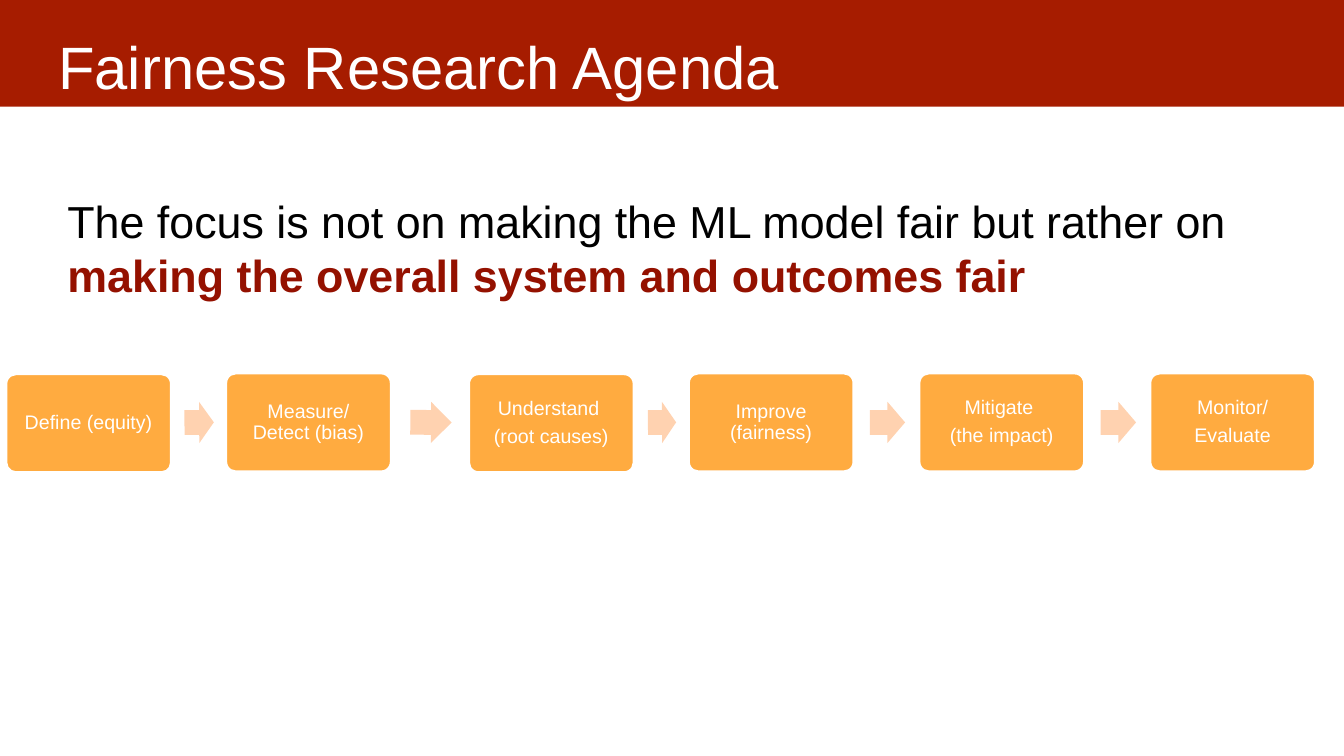
from lxml import etree
from pptx import Presentation
from pptx.dml.color import RGBColor
from pptx.enum.shapes import MSO_SHAPE
from pptx.enum.text import MSO_ANCHOR, PP_ALIGN
from pptx.oxml.ns import qn
from pptx.util import Cm, Pt

RECTANGLE = MSO_SHAPE.RECTANGLE
ROUNDED = MSO_SHAPE.ROUNDED_RECTANGLE
ARROW = MSO_SHAPE.RIGHT_ARROW
TOP, MIDDLE = MSO_ANCHOR.TOP, MSO_ANCHOR.MIDDLE
CENTER = PP_ALIGN.CENTER

COLORS = {
    "banner": "A61C00",
    "white": "FFFFFF",
    "black": "000000",
    "emphasis": "941100",
    "step": "FFAB40",
    "arrow": "FFD2B0",
}
FONT = "Arial"
STEP_SIZE = 14
STEP_WIDTH, STEP_HEIGHT = 4.17, 2.49
ARROW_HEIGHT = 1.04
STEPS = [
    (0, 0.02, "Define (equity)"),
    (5.54, 0, "Measure/\vDetect (bias)"),
    (11.66, 0.02, "Understand \n(root causes)"),
    (17.2, 0, "Improve (fairness)"),
    (23.01, 0, "Mitigate \n(the impact)"),
    (28.83, 0, "Monitor/\nEvaluate"),
]
ARROWS = [(4.5, 0.74, -0.4), (10.19, 1.04, 0.3), (16.18, 0.71, -0.4), (21.77, 0.89, 0), (27.59, 0.89, 0)]


def apply_format(target, values):
    for name, value in values.items():
        setattr(target, name, value)


def color(name):
    return RGBColor.from_string(COLORS[name])


def format_run(run, size, color_name, bold=False):
    apply_format(run.font, {"name": FONT, "size": Pt(size), "bold": bold})
    run.font.color.rgb = color(color_name)


def add_filled(slide, kind, box, fill):
    shape = slide.shapes.add_shape(kind, *map(Cm, box))
    shape.shadow.inherit = False
    shape.fill.solid()
    shape.fill.fore_color.rgb = color(fill)
    shape.line.fill.background()
    return shape


def add_text(slide, box, frame_format, size, parts):
    frame = slide.shapes.add_textbox(*map(Cm, box)).text_frame
    apply_format(frame, {"word_wrap": True, "vertical_anchor": TOP, **frame_format})
    for text, color_name, bold in parts:
        run = frame.paragraphs[0].add_run()
        run.text = text
        format_run(run, size, color_name, bold)


def add_banner(slide, left, top, width, height):
    add_filled(slide, RECTANGLE, (left, top, width, height), "banner")
    insets = {"margin_left": Cm(0.33), "margin_right": Cm(0.33), "margin_top": Cm(0.51), "margin_bottom": Cm(0.1)}
    title_box = (left + 1.19, top + 0.33, width - 2.39, height - 0.68)
    add_text(slide, title_box, insets, 42.7, [("Fairness Research Agenda", "white", False)])


def add_statement(slide, left, top, width, height):
    parts = [
        ("The focus is not on making the ML model fair but rather on ", "black", False),
        ("making the overall system and outcomes fair", "emphasis", True),
    ]
    add_text(slide, (left, top, width, height), {}, 32, parts)


def add_step(slide, left, top, text):
    shape = add_filled(slide, ROUNDED, (left, top, STEP_WIDTH, STEP_HEIGHT), "step")
    shape.adjustments[0] = 0.1
    shape.line.color.rgb = color("white")
    shape.line.width = Pt(2)
    frame = shape.text_frame
    frame.text = text
    margins = {f"margin_{side}": Cm(0.2) for side in ("left", "right", "top", "bottom")}
    apply_format(frame, {"word_wrap": True, "vertical_anchor": MIDDLE, **margins})
    for paragraph in frame.paragraphs:
        apply_format(paragraph, {"alignment": CENTER, "line_spacing": 0.9, "space_after": Pt(5)})
        for run in paragraph.runs:
            format_run(run, STEP_SIZE, "white")
        for line_break in paragraph._p.findall(qn("a:br")):
            etree.SubElement(line_break, qn("a:rPr")).set("sz", str(STEP_SIZE * 100))


def add_arrow(slide, left, top, width, rotation):
    shape = add_filled(slide, ARROW, (left, top, width, ARROW_HEIGHT), "arrow")
    shape.adjustments[0], shape.adjustments[1] = 0.6, 0.5
    shape.rotation = rotation


def add_process(slide, left, top):
    for offset, drop, text in STEPS:
        add_step(slide, left + offset, top + drop, text)
    for offset, width, rotation in ARROWS:
        add_arrow(slide, left + offset, top + (STEP_HEIGHT - ARROW_HEIGHT) / 2, width, rotation)


def main():
    presentation = Presentation()
    presentation.slide_width, presentation.slide_height = Cm(33.87), Cm(19.05)
    slide = presentation.slides.add_slide(presentation.slide_layouts[6])
    add_banner(slide, -0.05, -0.1, 33.93, 2.79)
    add_process(slide, 0.15, 9.4)
    add_statement(slide, 1.45, 4.75, 31.67, 3)
    presentation.save("out.pptx")


if __name__ == "__main__":
    main()
